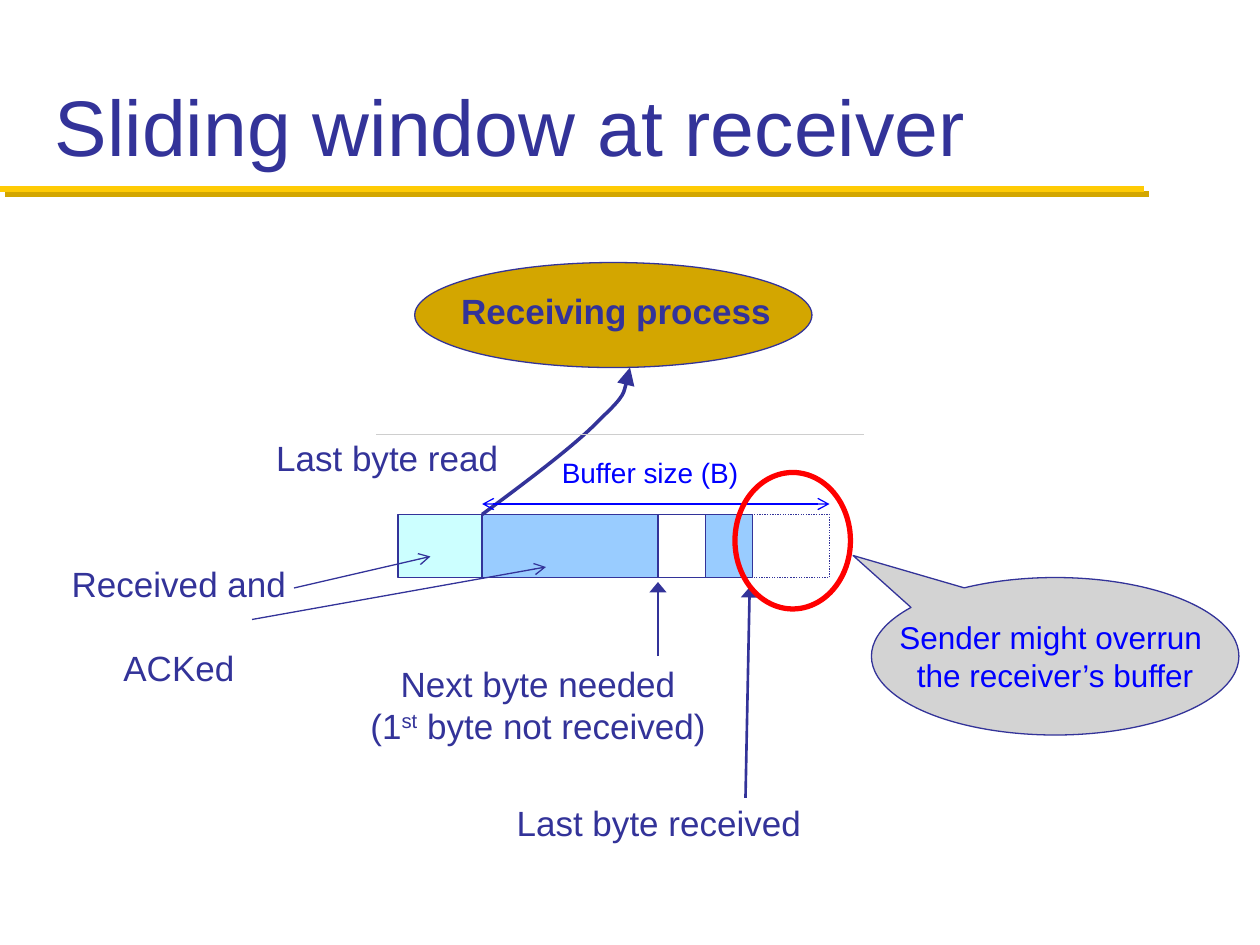
from lxml import etree
from pptx import Presentation
from pptx.dml.color import RGBColor
from pptx.enum import dml, shapes, text
from pptx.oxml import ns
from pptx.util import Pt

NAVY = RGBColor(0x33, 0x33, 0x99)
BLUE = RGBColor(0x00, 0x00, 0xFF)
RED = RGBColor(0xFF, 0x00, 0x00)
GOLD = RGBColor(0xFF, 0xCB, 0x05)
OCHRE = RGBColor(0xD3, 0xA6, 0x00)
AQUA = RGBColor(0xCC, 0xFF, 0xFF)
SKY = RGBColor(0x99, 0xCC, 0xFF)
WHITE = RGBColor(0xFF, 0xFF, 0xFF)
RULE = RGBColor(0xCE, 0xCE, 0xCE)
GREY = RGBColor(0xD3, 0xD3, 0xD3)
MSO = shapes.MSO_SHAPE
CENTER, LEFT = text.PP_ALIGN.CENTER, text.PP_ALIGN.LEFT
ARROW = {"type": "arrow"}
WIDE = {"type": "triangle", "w": "lg", "len": "med"}
LARGE = {"type": "triangle", "w": "lg", "len": "lg"}


def style(sp, fill, color, width):
    sp.shadow.inherit = False
    if fill is None:
        sp.fill.background()
    else:
        sp.fill.solid()
        sp.fill.fore_color.rgb = fill
    sp.line.color.rgb = color
    sp.line.width = Pt(width)


def write(tf, lines, size, color, align=CENTER, bold=False, gap=0):
    for i, runs in enumerate(lines):
        p = tf.paragraphs[0] if i == 0 else tf.add_paragraph()
        p.alignment = align
        p.line_spacing = 1.0
        p.space_before = Pt(gap if i else 0)
        for chunk in runs:
            r = p.add_run()
            r.text = chunk
            fmt = {"name": "Arial", "size": Pt(size), "bold": bold}
            for key, value in fmt.items():
                setattr(r.font, key, value)
            r.font.color.rgb = color
            if chunk == "st":
                r.font._element.set("baseline", "30000")


prs = Presentation()
prs.slide_width, prs.slide_height = Pt(720), Pt(540)
s = prs.slides.add_slide(prs.slide_layouts[5])

title = s.shapes.title
title.left, title.top, title.width, title.height = Pt(24), Pt(12), Pt(672), Pt(90)
tf = title.text_frame
tf.auto_size = text.MSO_AUTO_SIZE.NONE
tf.vertical_anchor = text.MSO_ANCHOR.BOTTOM
write(tf, [["Sliding window at receiver"]], 45, NAVY, LEFT)

process = s.shapes.add_shape(MSO.OVAL, Pt(237), Pt(150), Pt(227), Pt(60))
style(process, OCHRE, NAVY, 0.75)

segments = [
    (227.5, 48, AQUA),
    (275.5, 103, SKY),
    (376, 27, WHITE),
    (430, 44, None),
    (403, 27, SKY),
]
for x, w, fill in segments:
    sp = s.shapes.add_shape(MSO.RECTANGLE, Pt(x), Pt(294), Pt(w), Pt(36))
    style(sp, fill, NAVY, 0.75)
    if fill is None:
        sp.line.dash_style = dml.MSO_LINE.ROUND_DOT

fb = s.shapes.build_freeform(Pt(275.5), Pt(294))
fb.add_line_segments(
    [(Pt(x), Pt(y)) for x, y in [
        (303, 273.6), (330, 253.4), (343.5, 239),
        (358, 225.4), (358.5, 217.4), (360, 210),
    ]],
    close=False,
)
curve = fb.convert_to_shape()
style(curve, None, NAVY, 2)
etree.SubElement(curve.line._get_or_add_ln(), ns.qn("a:tailEnd"), LARGE)
steps = list(curve._element.iter(ns.qn("a:lnTo")))
for i in range(0, len(steps), 3):
    bend = etree.Element(ns.qn("a:cubicBezTo"))
    steps[i].addprevious(bend)
    for step in steps[i:i + 3]:
        bend.append(step[0])
        step.getparent().remove(step)

lines = [
    (0, 108, 653.75, 108, GOLD, 3.5, None, None),
    (215, 248.4, 494, 248.4, RULE, 0.75, None, None),
    (376, 375, 376, 332.6, NAVY, 1.5, None, WIDE),
    (426, 456, 428.4, 335.5, NAVY, 1.5, None, WIDE),
    (168, 336, 246, 318, NAVY, 0.75, None, ARROW),
    (144, 354, 312, 324, NAVY, 0.75, None, ARROW),
    (275.5, 288, 474, 288, BLUE, 0.75, ARROW, ARROW),
]
for x1, y1, x2, y2, color, width, head, tail in lines:
    ln = s.shapes.add_connector(
        shapes.MSO_CONNECTOR.STRAIGHT, Pt(x1), Pt(y1), Pt(x2), Pt(y2))
    ln.line.color.rgb = color
    ln.line.width = Pt(width)
    for tag, end in (("a:headEnd", head), ("a:tailEnd", tail)):
        if end:
            etree.SubElement(ln.line._get_or_add_ln(), ns.qn(tag), end)
    effects = etree.SubElement(ln._element.spPr, ns.qn("a:effectLst"))
    if color == GOLD:
        shadow = etree.SubElement(
            effects, ns.qn("a:outerShdw"), dist=str(Pt(4.2)), dir="2700000")
        etree.SubElement(shadow, ns.qn("a:srgbClr"), val=str(OCHRE))

labels = [
    (256, 162, 192, 31, [["Receiving process"]], 20, NAVY, CENTER, True, 0),
    (203, 375, 209, 55.5,
     [["Next byte needed"], ["(1", "st", " byte not received)"]],
     20, NAVY, CENTER, False, 0),
    (150, 246, 142.5, 31.5, [["Last byte read"]], 20, NAVY, CENTER, False, 0),
    (287, 454.5, 179, 31.5, [["Last byte received"]], 20, NAVY, CENTER, False, 0),
    (33, 318, 138.5, 55.5, [["Received and"], ["ACKed"]],
     20, NAVY, CENTER, False, 24),
    (314, 256.5, 142, 31.5, [["Buffer size (B)"]], 16, BLUE, LEFT, False, 0),
]
for x, y, w, h, content, size, color, align, bold, gap in labels:
    tf = s.shapes.add_textbox(Pt(x), Pt(y), Pt(w), Pt(h)).text_frame
    tf.word_wrap = align == LEFT
    write(tf, content, size, color, align, bold, gap)

ring = s.shapes.add_shape(MSO.OVAL, Pt(420), Pt(270), Pt(66), Pt(78))
style(ring, None, RED, 3)

callout = s.shapes.add_shape(MSO.OVAL_CALLOUT, Pt(498), Pt(330), Pt(210), Pt(90))
callout.adjustments[0], callout.adjustments[1] = -0.55, -0.64
style(callout, GREY, NAVY, 0.75)
tf = callout.text_frame
tf.word_wrap = False
tf.vertical_anchor = text.MSO_ANCHOR.MIDDLE
write(tf, [["Sender might overrun "], ["the receiver’s buffer"]], 18, BLUE)

prs.save("out.pptx")
